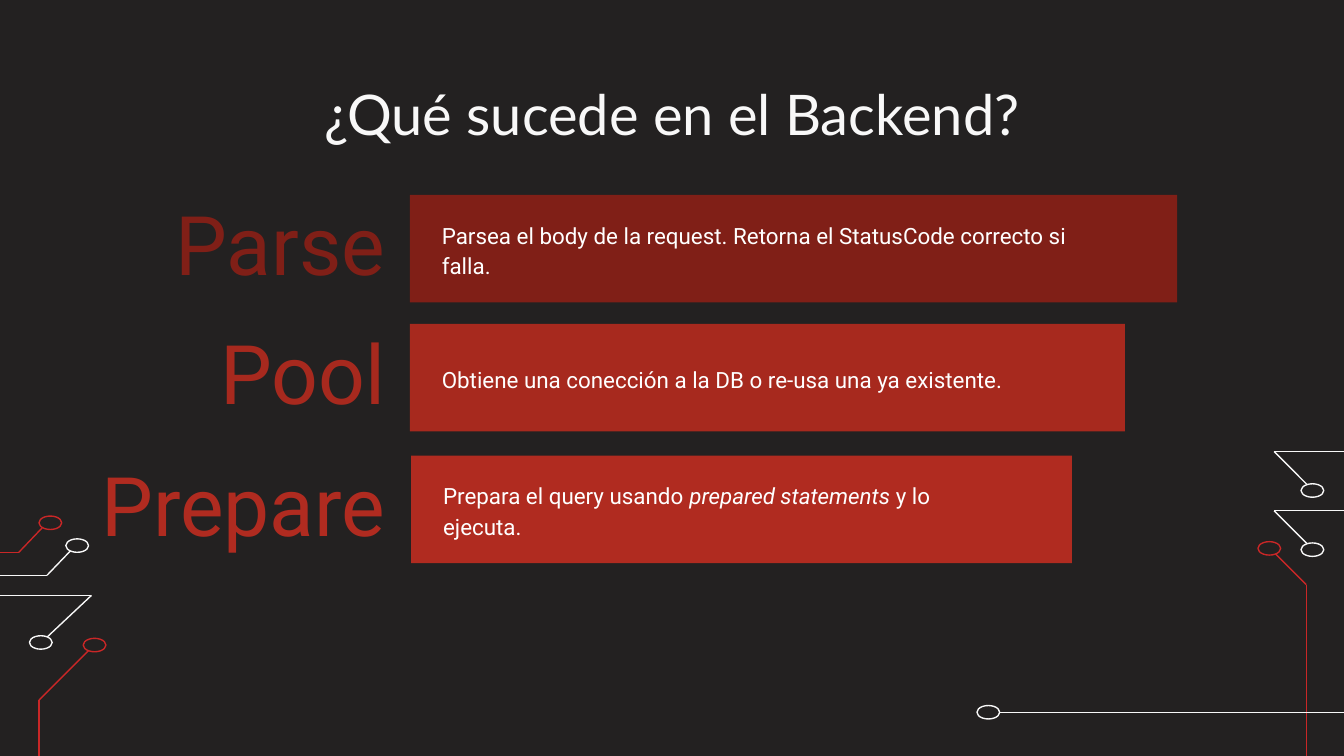
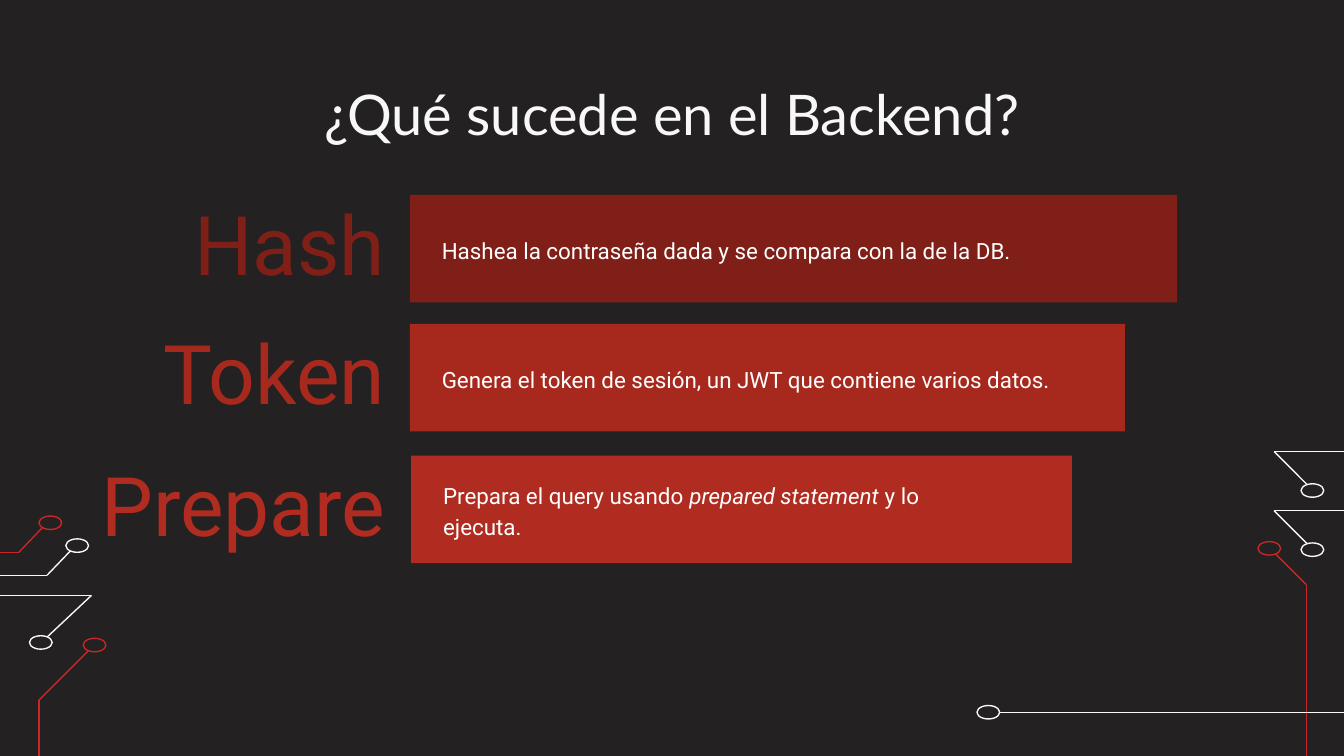
from itertools import pairwise

from lxml.etree import SubElement
from pptx import Presentation
from pptx.dml.color import RGBColor
from pptx.enum.shapes import MSO_CONNECTOR, MSO_SHAPE
from pptx.enum.text import MSO_ANCHOR, MSO_AUTO_SIZE, PP_ALIGN
from pptx.oxml.ns import qn
from pptx.util import Pt

DARK, RED, WHITE = "232121", "C92727", "F8F8F8"
TITLE = "¿Qué sucede en el Backend?"
BAR_HEIGHT, LABEL_HEIGHT = 57.6, 49.7
NODE_WIDTH, NODE_HEIGHT = 12.2, 7.2


def paint(color_format, color):
    color_format.rgb = RGBColor.from_string(color)


def write(shape, text, size, color, font="Roboto", align=PP_ALIGN.LEFT,
          anchor=MSO_ANCHOR.MIDDLE, spacing=1.0, margin=3.6):
    """Fill a shape with one paragraph; words between asterisks are italic."""
    frame = shape.text_frame
    frame.word_wrap = True
    frame.auto_size = MSO_AUTO_SIZE.NONE
    frame.vertical_anchor = anchor
    frame.margin_left = frame.margin_right = Pt(7.2)
    frame.margin_top = frame.margin_bottom = Pt(margin)
    para = frame.paragraphs[0]
    para.alignment = align
    para.line_spacing = spacing
    for index, part in enumerate(text.split("*")):
        span = para.add_run()
        span.text = part
        span.font.name = font
        span.font.size = Pt(size)
        span.font.italic = index % 2 == 1
        paint(span.font.color, color)


# Circuit traces: colour, points of the trace, top left corner of its node
traces = [
    (RED, [(20.9, 405), (20.9, 375.1), (49, 347)], (44.6, 342)),
    (WHITE, [(0, 319), (49, 319), (24.5, 342)], (15.8, 340.6)),
    (WHITE, [(0, 308.2), (25.2, 308.2), (41.8, 290.9)], (35.3, 288.7)),
    (RED, [(0, 295.9), (10.1, 295.9), (26.6, 278.6)], (20.9, 276.5)),
    (RED, [(699.8, 405), (699.8, 313.2), (681.8, 295.2)], (673.9, 290.2)),
    (WHITE, [(720, 381.6), (535.7, 381.6)], (523.4, 378)),
    (WHITE, [(720, 273.6), (682.6, 273.6), (703.4, 294.5)], (697, 290.9)),
    (WHITE, [(720, 241.9), (682.6, 241.9), (703.4, 262.8)], (697, 259.2)),
]

# Rows: colour, bar left, top and width, label left, description width and height
rows = [
    ("801F17", 219.6, 104.4, 411, 0, 375, 45.4),
    ("A7291E", 219.6, 173.5, 383, 0, 344, 26),
    ("B02B20", 220.3, 244.1, 354, 41, 303, 26),
]

steps_by_page = [
    [
        ("Parse", "Parsea el body de la request. Retorna el StatusCode correcto si falla."),
        ("Pool", "Obtiene una conección a la DB o re-usa una ya existente."),
        ("Prepare", "Prepara el query usando *prepared statements* y lo ejecuta."),
    ],
    [
        ("Hash", "Hashea la contraseña dada y se compara con la de la DB."),
        ("Token", "Genera el token de sesión, un JWT que contiene varios datos."),
        ("Prepare", "Prepara el query usando *prepared statement* y lo ejecuta."),
    ],
]

deck = Presentation()
deck.slide_width, deck.slide_height = Pt(720), Pt(405)
background = deck.slide_master.background.fill
background.solid()
paint(background.fore_color, DARK)
layout = deck.slide_layouts[5]
for placeholder in list(layout.placeholders):
    if placeholder.placeholder_format.idx != 0:
        layout.shapes.element.remove(placeholder.element)

pages = [deck.slides.add_slide(layout) for _ in steps_by_page]

# Layouts cannot add shapes, so the circuit is drawn on a page and moved to the layout
for color, points, (node_left, node_top) in traces:
    parts = []
    for (x1, y1), (x2, y2) in pairwise(points):
        wire = pages[0].shapes.add_connector(
            MSO_CONNECTOR.STRAIGHT, Pt(x1), Pt(y1), Pt(x2), Pt(y2))
        SubElement(wire.element.spPr, qn("a:effectLst"))
        parts.append(wire)
    node = pages[0].shapes.add_shape(
        MSO_SHAPE.OVAL, Pt(node_left), Pt(node_top), Pt(NODE_WIDTH), Pt(NODE_HEIGHT))
    node.shadow.inherit = False
    node.fill.solid()
    paint(node.fill.fore_color, DARK)
    parts.append(node)
    for part in parts:
        # The line must precede the effect list, and python-pptx inserts it there
        part.line.width = Pt(0.75)
        part.line.fill.solid()
        paint(part.line.color, color)
    for part in parts:
        layout.shapes.element.append(part.element)

for page, steps in zip(pages, steps_by_page):
    title = page.shapes.title
    title.left, title.top, title.width, title.height = Pt(56.7), Pt(35.4), Pt(606.6), Pt(45.2)
    write(title, TITLE, 30, WHITE, font="Lato", align=PP_ALIGN.CENTER,
          anchor=MSO_ANCHOR.TOP, margin=7.2)

    for (label, description), row in zip(steps, rows):
        color, left, top, width, label_left, text_width, text_height = row
        middle = top + BAR_HEIGHT / 2

        label_box = page.shapes.add_textbox(
            Pt(label_left), Pt(middle - LABEL_HEIGHT / 2), Pt(213.6 - label_left), Pt(LABEL_HEIGHT))
        write(label_box, label, 44, color, align=PP_ALIGN.RIGHT, spacing=0.9)

        bar = page.shapes.add_shape(
            MSO_SHAPE.RECTANGLE, Pt(left), Pt(top), Pt(width), Pt(BAR_HEIGHT))
        bar.shadow.inherit = False
        bar.fill.solid()
        paint(bar.fill.fore_color, color)
        bar.line.fill.background()

        text_box = page.shapes.add_textbox(
            Pt(left + 10), Pt(middle - text_height / 2), Pt(text_width), Pt(text_height))
        write(text_box, description, 12, "FFFFFF", spacing=1.15)

deck.save("out.pptx")
